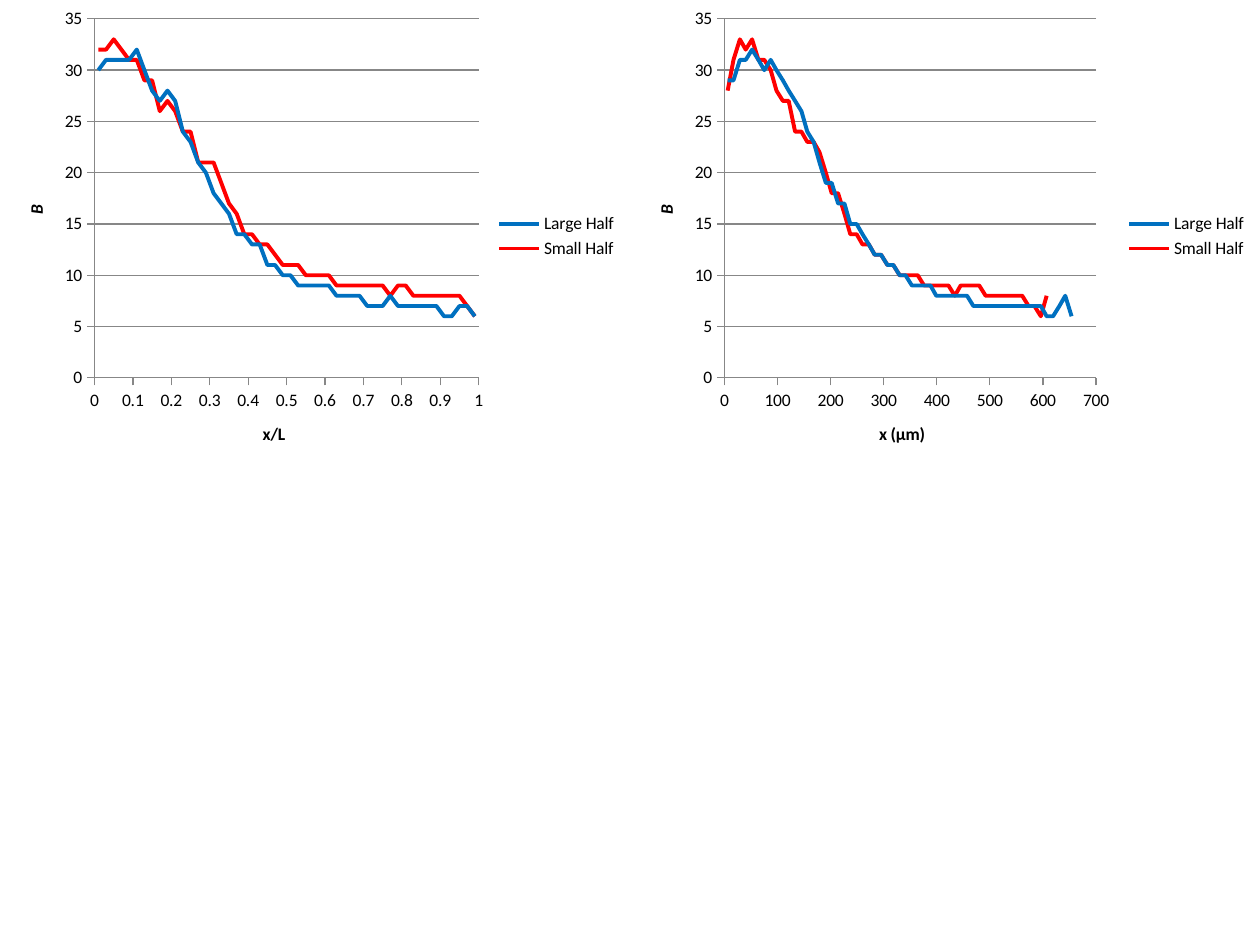
"""Build a slide with two scatter charts of B against position."""
from dataclasses import dataclass

from lxml import etree
from pptx import Presentation
from pptx.chart import data
from pptx.dml.color import RGBColor
from pptx.enum import chart as ec
from pptx.oxml import ns
from pptx.util import Inches, Pt


@dataclass(frozen=True)
class Theme:
    """Colours and type sizes of the slide."""
    font: str = "Calibri"
    size: int = 10
    ink: str = "000000"
    axis: str = "878787"
    large: str = "0070C0"
    small: str = "FF0000"
    curve: float = 2.25
    hairline: float = 0.75


THEME = Theme()

RELATIVE_LARGE = [
    30, 31, 31, 31, 31, 32, 30, 28, 27, 28, 27, 24, 23, 21, 20, 18, 17,
    16, 14, 14, 13, 13, 11, 11, 10, 10, 9, 9, 9, 9, 9, 8, 8, 8, 8, 7, 7,
    7, 8, 7, 7, 7, 7, 7, 7, 6, 6, 7, 7, 6]
RELATIVE_SMALL = [
    32, 32, 33, 32, 31, 31, 29, 29, 26, 27, 26, 24, 24, 21, 21, 21, 19,
    17, 16, 14, 14, 13, 13, 12, 11, 11, 11, 10, 10, 10, 10, 9, 9, 9, 9,
    9, 9, 9, 8, 9, 9, 8, 8, 8, 8, 8, 8, 8, 7, 6]
ABSOLUTE_LARGE = [
    29, 29, 31, 31, 32, 31, 30, 31, 30, 29, 28, 27, 26, 24, 23, 21, 19,
    19, 17, 17, 15, 15, 14, 13, 12, 12, 11, 11, 10, 10, 9, 9, 9, 9, 8, 8,
    8, 8, 8, 8, 7, 7, 7, 7, 7, 7, 7, 7, 7, 7, 7, 7, 6, 6, 7, 8, 6]
ABSOLUTE_SMALL = [
    28, 31, 33, 32, 33, 31, 31, 30, 28, 27, 27, 24, 24, 23, 23, 22, 20,
    18, 18, 16, 14, 14, 13, 13, 12, 12, 11, 11, 10, 10, 10, 10, 9, 9, 9,
    9, 9, 8, 9, 9, 9, 9, 8, 8, 8, 8, 8, 8, 8, 7, 7, 6, 8]


def format_line(line, color, width):
    """Give a line its colour and width in points."""
    line.color.rgb = RGBColor.from_string(color)
    line.width = Pt(width)


def format_font(font, bold=False, italic=False):
    """Give a font the type of the theme."""
    font.name, font.size = THEME.font, Pt(THEME.size)
    font.bold, font.italic = bold, italic
    font.color.rgb = RGBColor.from_string(THEME.ink)


def format_axis(axis, title, maximum, step, italic=False):
    """Set the scale, title and lines of an axis."""
    axis.minimum_scale, axis.maximum_scale, axis.major_unit = 0, maximum, step
    axis.major_tick_mark = ec.XL_TICK_MARK.OUTSIDE
    axis.minor_tick_mark = ec.XL_TICK_MARK.NONE
    axis.tick_labels.number_format = "General"
    axis.tick_labels.number_format_is_linked = False
    format_line(axis.format.line, THEME.axis, THEME.hairline)
    caption = axis.axis_title.text_frame
    caption.text = title
    format_font(caption.paragraphs[0].font, bold=True, italic=italic)


def place_plot(chart, x, y, w, h):
    """Place the inner plot area by fractions of the chart."""
    area = chart.element.find(".//" + ns.qn("c:plotArea"))
    for old in area.findall(ns.qn("c:layout")):
        area.remove(old)
    layout = etree.Element(ns.qn("c:layout"))
    manual = etree.SubElement(layout, ns.qn("c:manualLayout"))
    settings = dict(layoutTarget="inner", xMode="edge", yMode="edge",
                    x=x, y=y, w=w, h=h)
    for tag, value in settings.items():
        etree.SubElement(manual, ns.qn("c:" + tag)).set("val", str(value))
    area.insert(0, layout)


def add_profile(slide, box, title, scale, step, halves, plot_width):
    """Draw the profiles of both halves in a box, at bin centres."""
    profiles = data.XyChartData()
    for name, values in zip(("Large Half", "Small Half"), halves):
        profile = profiles.add_series(name)
        for i, value in enumerate(values):
            position = step * (i + 0.5)
            profile.add_data_point(
                round(position, 2) if step < 1 else round(position), value)
    chart = slide.shapes.add_chart(
        ec.XL_CHART_TYPE.XY_SCATTER_LINES_NO_MARKERS,
        *map(Inches, box), profiles).chart
    format_font(chart.font)
    chart.has_title = False
    chart.has_legend = True
    chart.legend.position = ec.XL_LEGEND_POSITION.RIGHT
    chart.legend.include_in_layout = False
    for curve, color in zip(chart.plots[0].series, (THEME.large, THEME.small)):
        curve.smooth = False
        curve.marker.style = ec.XL_MARKER_STYLE.NONE
        format_line(curve.format.line, color, THEME.curve)
    format_axis(chart.category_axis, title, *scale)
    format_axis(chart.value_axis, "B", 35, 5, italic=True)
    chart.category_axis.has_major_gridlines = False
    chart.value_axis.has_major_gridlines = True
    format_line(chart.value_axis.major_gridlines.format.line,
                THEME.axis, THEME.hairline)
    place_plot(chart, 0.15, 0.04, plot_width, 0.76)


def main():
    """Build the slide and save it."""
    deck = Presentation()
    deck.slide_width, deck.slide_height = Inches(10), Inches(7.5)
    slide = deck.slides.add_slide(deck.slide_layouts[6])
    add_profile(slide, (0, 0, 5, 3.75), "x/L", (1, 0.1), 0.02,
                (RELATIVE_LARGE, RELATIVE_SMALL), 0.61)
    add_profile(slide, (5, 0, 5, 3.75), "x (µm)", (700, 100), 11.57,
                (ABSOLUTE_LARGE, ABSOLUTE_SMALL), 0.59)
    deck.save("out.pptx")


main()
